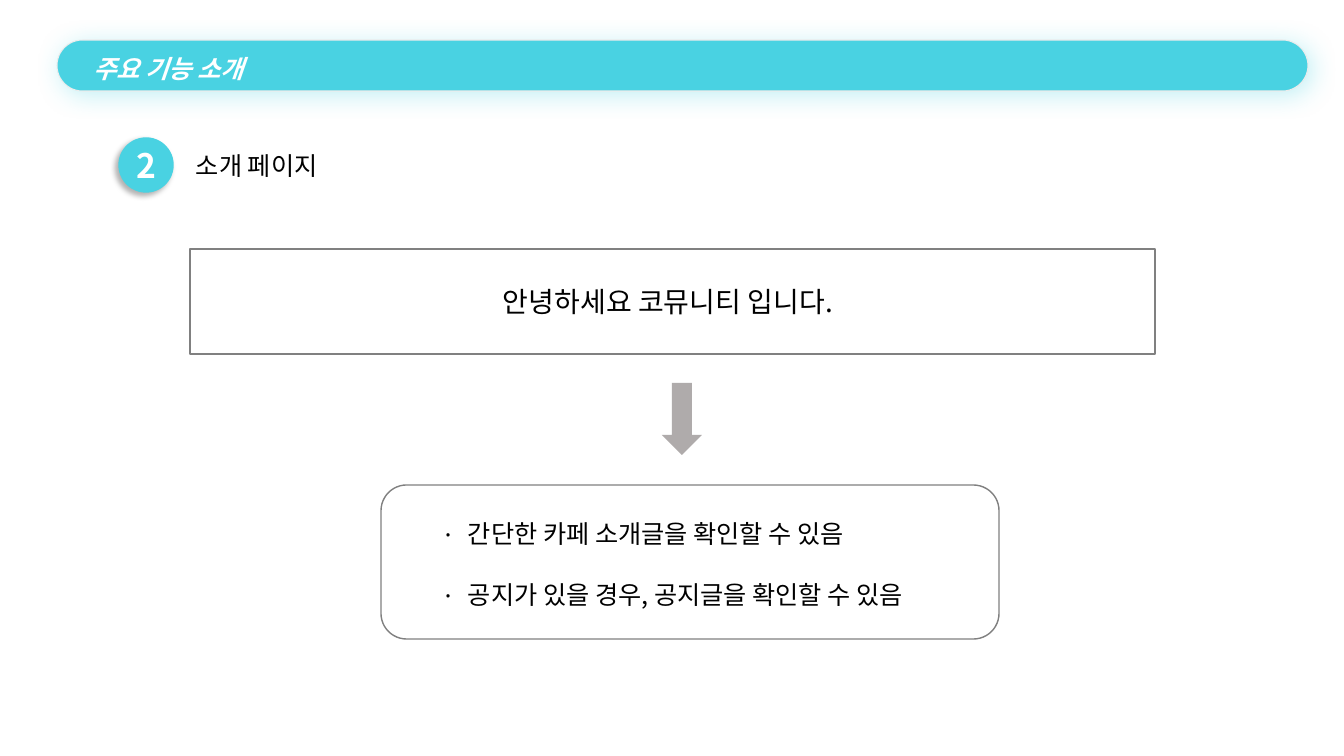
from pptx import Presentation
from pptx.dml.color import RGBColor
from pptx.enum.shapes import MSO_SHAPE as Shape
from pptx.enum.text import MSO_ANCHOR as Anchor, MSO_AUTO_SIZE as AutoSize, PP_ALIGN as Align
from pptx.oxml import parse_xml
from pptx.oxml.ns import nsdecls
from pptx.util import Pt

PIXEL = 914400 / 100.8
FONT = "Noto Sans CJK KR"
CYAN, WHITE, BLACK, GREY = "49D2E2", "FFFFFF", "000000", "808080"


def color(value):
    return RGBColor.from_string(value)


def write(box, lines, formats, ink=BLACK, anchor=Anchor.TOP, align=Align.LEFT):
    frame = box.text_frame
    frame.word_wrap = True
    frame.auto_size = AutoSize.NONE
    frame.vertical_anchor = anchor
    frame.text = "\n".join(lines)
    for para in frame.paragraphs:
        para.alignment = align
        font = para.runs[0].font
        font.color.rgb = color(ink)
        for name, value in {"name": FONT, **formats}.items():
            setattr(font, name, value)
        # Hangul typeface, and word gaps without pair kerning
        font._element.set("kern", "0")
        font._element.find("{*}latin").addnext(
            parse_xml(f'<a:ea {nsdecls("a")} typeface="{FONT}"/>'))


deck = Presentation()
deck.slide_width, deck.slide_height = round(1344 * PIXEL), round(756 * PIXEL)
page = deck.slides.add_slide(deck.slide_layouts[5])

# Banner, number badge, two frames and the arrow
shapes = []
for kind, left, top, width, height, fill, line, weight in [
    (Shape.ROUNDED_RECTANGLE, 57, 40, 1251, 51, CYAN, "ECECEC", 0.75),
    (Shape.OVAL, 119, 138, 54, 54, CYAN, CYAN, 1),
    (Shape.RECTANGLE, 190, 249, 965, 105, None, GREY, 1.5),
    (Shape.ROUNDED_RECTANGLE, 381, 485, 618, 154, None, GREY, 1),
    (Shape.DOWN_ARROW, 662, 383, 40, 72, "AFABAB", None, 0),
]:
    shape = page.shapes.add_shape(
        kind, *(round(length * PIXEL) for length in (left, top, width, height)))
    shape.shadow.inherit = False
    if fill:
        shape.fill.solid()
        shape.fill.fore_color.rgb = color(fill)
    else:
        shape.fill.background()
    if line:
        shape.line.color.rgb = color(line)
        shape.line.width = Pt(weight)
    else:
        shape.line.fill.background()
    shapes.append(shape)
banner, badge = shapes[:2]
banner.adjustments[0] = 0.5
write(badge, ["2"], {"size": Pt(24), "bold": True}, WHITE, Anchor.MIDDLE, Align.CENTER)

# Soft shadows under the banner and the badge
for shape, tint, opacity, blur, angle in [
    (banner, CYAN, 33, 18, 45),
    (badge, BLACK, 29, 4, 135),
]:
    shape.element.spPr.find("{*}effectLst").append(parse_xml(
        f'<a:outerShdw {nsdecls("a")} blurRad="{Pt(blur)}" dist="{Pt(3)}" '
        f'dir="{angle * 60000}" algn="ctr" rotWithShape="0"><a:srgbClr val="{tint}">'
        f'<a:alpha val="{opacity * 1000}"/></a:srgbClr></a:outerShdw>'))

# Title on top of the banner
title = page.shapes.title
for side, length in {"left": 83, "top": 43, "width": 1199, "height": 51}.items():
    setattr(title, side, round(length * PIXEL))
write(title, ["주요 기능 소개"], {"size": Pt(18), "bold": True, "italic": True},
      WHITE, Anchor.MIDDLE)
banner.element.addnext(title.element)

# Texts
for left, top, width, height, size, lines in [
    (186, 145, 211, 40, 18, ["소개 페이지"]),
    (493, 280, 366, 44, 20, ["안녕하세요 코뮤니티 입니다."]),
    (432, 513, 566, 102, 18,
     ["간단한 카페 소개글을 확인할 수 있음", "공지가 있을 경우, 공지글을 확인할 수 있음"]),
]:
    box = page.shapes.add_textbox(
        *(round(length * PIXEL) for length in (left, top, width, height)))
    write(box, lines, {"size": Pt(size)})

# Bullets of the last text
indent = round(26 * PIXEL)
for para in box.text_frame.paragraphs:
    para.space_after = Pt(22.5)
    properties = para._p.get_or_add_pPr()
    properties.set("marL", str(indent))
    properties.set("indent", str(-indent))
    for bullet in (f'buFont {nsdecls("a")} typeface="{FONT}"', f'buChar {nsdecls("a")} char="·"'):
        properties.append(parse_xml(f"<a:{bullet}/>"))

deck.save("out.pptx")
